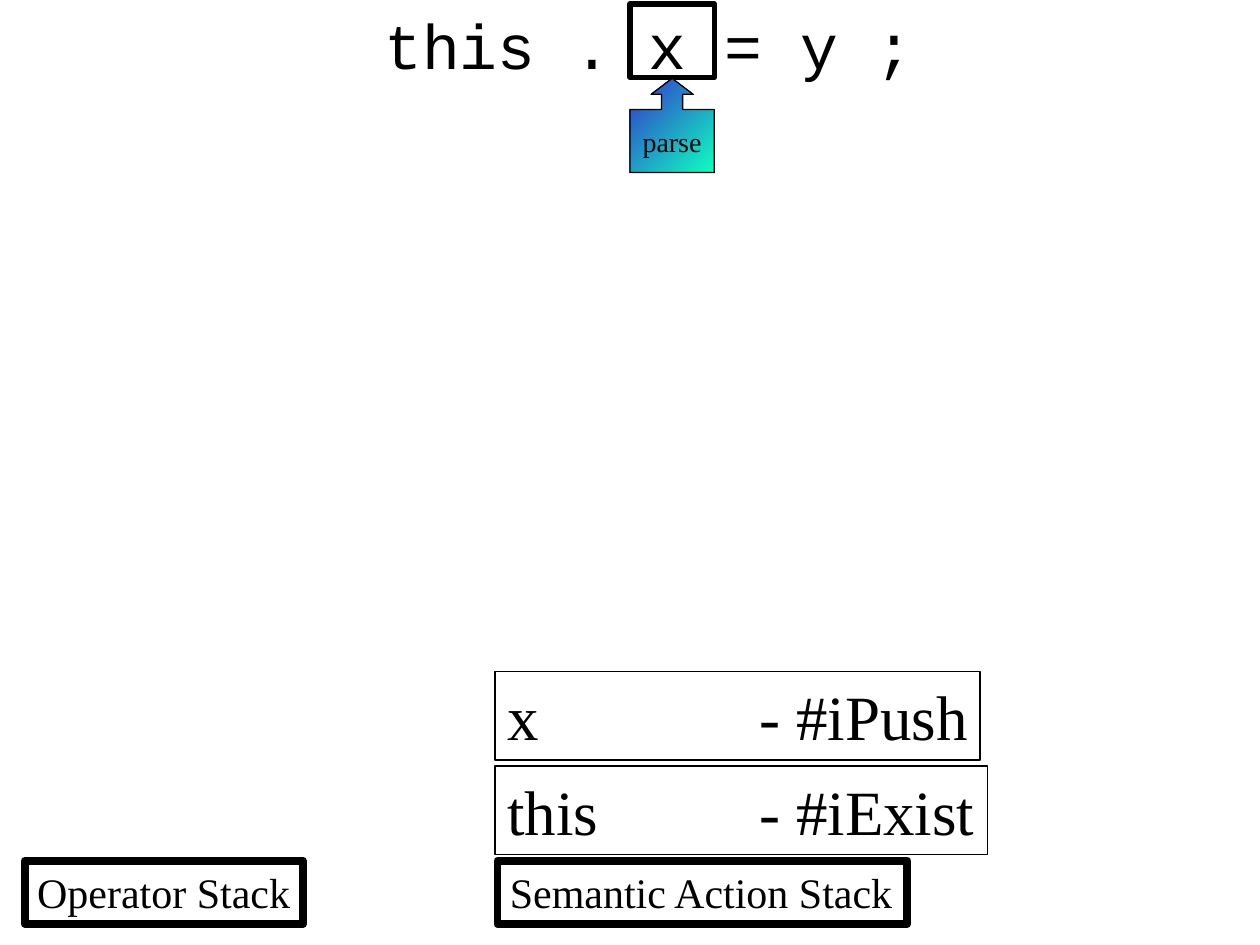
from pptx import Presentation
from pptx.dml.color import RGBColor
from pptx.enum.shapes import MSO_SHAPE
from pptx.enum.text import MSO_ANCHOR, MSO_AUTO_SIZE, PP_ALIGN
from pptx.util import Cm, Pt
from lxml.etree import SubElement
from pptx.oxml.ns import qn

BLACK = RGBColor(0x00, 0x00, 0x00)
BLUE = RGBColor(0x33, 0x33, 0xCC)
GREEN = RGBColor(0x0F, 0xFF, 0xC0)
SERIF = "Times New Roman"
MONO = "Courier New"


def add_box(shapes, kind, left, top, width, height, line):
    box = shapes.add_shape(kind, Cm(left), Cm(top), Cm(width), Cm(height))
    box.shadow.inherit = False
    box.fill.background()
    box.line.color.rgb = BLACK
    box.line.width = Pt(line)
    return box


def add_text(box, words, size, face, align, anchor=MSO_ANCHOR.TOP, wrap=False):
    frame = box.text_frame
    frame.word_wrap = wrap
    frame.vertical_anchor = anchor
    para = frame.paragraphs[0]
    para.alignment = align
    if "\t" in words:
        tabs = SubElement(para._p.get_or_add_pPr(), qn("a:tabLst"))
        for stop in (2.54, 5.08):
            SubElement(tabs, qn("a:tab"), pos=str(Cm(stop)), algn="l")
    run = para.add_run()
    run.text = words
    run.font.size = Pt(size)
    run.font.name = face
    run.font.color.rgb = BLACK
    return frame


deck = Presentation()
deck.slide_width = Cm(25.4)
deck.slide_height = Cm(19.05)
slide = deck.slides.add_slide(deck.slide_layouts[6])
shapes = slide.shapes

for words, left, width in [
    ("Operator Stack", 0.5, 5.61),
    ("Semantic Action Stack", 10.03, 8.26),
]:
    label = add_box(shapes, MSO_SHAPE.RECTANGLE, left, 17.35, width, 1.28, 4.5)
    frame = add_text(label, words, 24, SERIF, PP_ALIGN.LEFT)
    frame.auto_size = MSO_AUTO_SIZE.SHAPE_TO_FIT_TEXT

code = shapes.add_textbox(Cm(0), Cm(0), Cm(25.4), Cm(1.78))
frame = add_text(code, " this . x = y ;", 36, MONO, PP_ALIGN.CENTER, wrap=True)
frame.auto_size = MSO_AUTO_SIZE.SHAPE_TO_FIT_TEXT

for row, (words, width) in enumerate(
    [("this\t\t- #iExist", 9.93), ("x\t\t- #iPush", 9.78)]
):
    top = 15.45 - row * 1.91
    item = add_box(shapes, MSO_SHAPE.RECTANGLE, 9.98, top, width, 1.78, 1)
    frame = add_text(item, words, 36, SERIF, PP_ALIGN.LEFT)
    frame.auto_size = MSO_AUTO_SIZE.SHAPE_TO_FIT_TEXT

mark = shapes.add_group_shape()
add_box(mark.shapes, MSO_SHAPE.RECTANGLE, 12.7, 0.08, 1.7, 1.48, 3)
arrow = add_box(mark.shapes, MSO_SHAPE.UP_ARROW_CALLOUT, 12.7, 1.58, 1.7, 1.9, 0.75)
for place, value in enumerate((0.25, 0.25, 0.19, 0.67)):
    arrow.adjustments[place] = value
arrow.fill.gradient()
arrow.fill.gradient_angle = 315
for stop, color, spot in zip(arrow.fill.gradient_stops, (BLUE, GREEN), (0, 1)):
    stop.color.rgb = color
    stop.position = spot
add_text(arrow, "parse", 16, SERIF, PP_ALIGN.CENTER, MSO_ANCHOR.MIDDLE)

deck.save("out.pptx")
